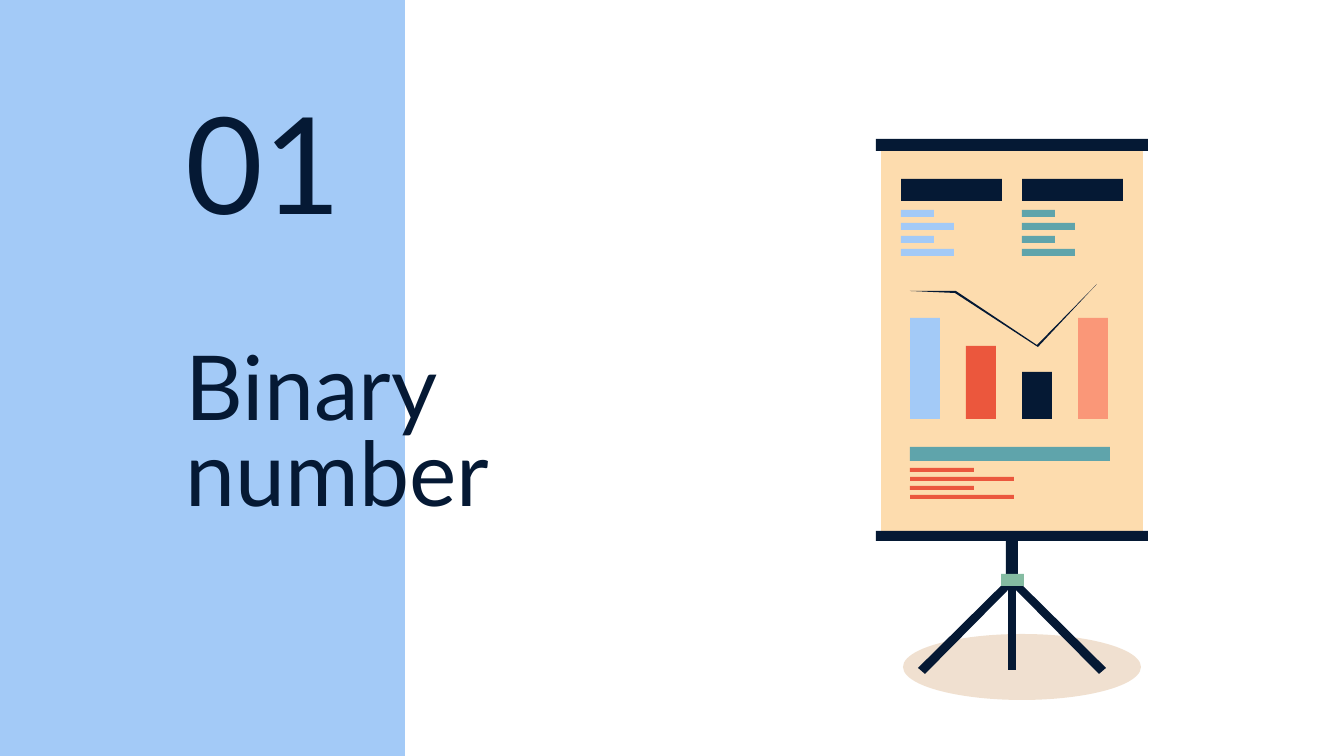
from dataclasses import dataclass

from lxml.etree import SubElement
from pptx import Presentation
from pptx.dml.color import RGBColor
from pptx.enum.shapes import MSO_SHAPE
from pptx.enum.text import MSO_ANCHOR, MSO_AUTO_SIZE, PP_ALIGN
from pptx.oxml.ns import qn
from pptx.util import Pt

PX = 9144000 / 1344  # EMU in one px


@dataclass(frozen=True)
class Theme:
    font: str = "Lato"
    number_size: int = 72
    title_size: int = 48
    navy: str = "051934"
    blue: str = "A3CAF7"
    teal: str = "5FA4AB"
    red: str = "EB573D"
    salmon: str = "FA9778"
    cream: str = "FDDCAE"
    green: str = "85BCA2"
    brown: str = "B45F06"


THEME = Theme()


@dataclass(frozen=True)
class Box:
    left: int
    top: int
    width: int
    height: int


@dataclass(frozen=True)
class TextBlock:
    """A column of short lines on the board, under a heading bar."""
    heading: Box
    heading_color: str
    line_color: str
    first_line: int
    line_step: int
    line_height: int
    line_widths: tuple[int, int]


def emu(length: int) -> int:
    return round(length * PX)


def paint(shape, color: str):
    shape.shadow.inherit = False
    shape.fill.solid()
    shape.fill.fore_color.rgb = RGBColor.from_string(color)
    shape.line.fill.background()
    return shape


def place(shape, box: Box) -> None:
    shape.left, shape.top = emu(box.left), emu(box.top)
    shape.width, shape.height = emu(box.width), emu(box.height)


def draw_shape(shapes, box: Box, color: str, kind=MSO_SHAPE.RECTANGLE):
    shape = shapes.add_shape(kind, emu(box.left), emu(box.top),
                             emu(box.width), emu(box.height))
    return paint(shape, color)


def draw_outline(shapes, points: list[tuple[int, int]], color: str):
    builder = shapes.build_freeform(*points[0], scale=PX)
    builder.add_line_segments(points[1:], close=True)
    return paint(builder.convert_to_shape(), color)


def draw_text_block(shapes, block: TextBlock) -> None:
    draw_shape(shapes, block.heading, block.heading_color)
    for row, width in enumerate(block.line_widths * 2):
        line = Box(block.heading.left, block.first_line + row * block.line_step,
                   width, block.line_height)
        draw_shape(shapes, line, block.line_color)


def write_text(holder, box: Box, text: str, size: int, anchor, spacing: float) -> None:
    place(holder, box)
    frame = holder.text_frame
    frame.text = text
    frame.word_wrap = True
    frame.auto_size = MSO_AUTO_SIZE.NONE
    frame.vertical_anchor = anchor
    frame.margin_left = frame.margin_right = emu(13)
    frame.margin_top = frame.margin_bottom = emu(13)
    para = frame.paragraphs[0]
    para.alignment = PP_ALIGN.LEFT
    para.line_spacing = spacing
    para.space_before = Pt(0)
    font = para.runs[0].font
    font.name, font.size = THEME.font, Pt(size)
    font.color.rgb = RGBColor.from_string(THEME.navy)


def draw_stand(shapes) -> None:
    center = 1012
    leg = [(1009, 578), (918, 668), (925, 674), (1015, 583)]
    draw_outline(shapes, leg, THEME.navy)
    draw_outline(shapes, [(2 * center - x, y) for x, y in leg], THEME.navy)
    draw_shape(shapes, Box(1008, 567, 8, 103), THEME.navy)
    draw_shape(shapes, Box(1006, 531, 12, 55), THEME.navy)
    draw_shape(shapes, Box(1001, 574, 23, 12), THEME.green)


def draw_board(shapes) -> None:
    draw_shape(shapes, Box(881, 151, 262, 380), THEME.cream)
    draw_shape(shapes, Box(876, 531, 272, 10), THEME.navy)
    draw_shape(shapes, Box(876, 139, 272, 12), THEME.navy)

    # Two columns of lines at the top, one wide block at the foot
    for left, color in ((901, THEME.blue), (1022, THEME.teal)):
        draw_text_block(shapes, TextBlock(Box(left, 179, 101, 22), THEME.navy,
                                          color, 210, 13, 7, (33, 53)))
    draw_text_block(shapes, TextBlock(Box(910, 447, 200, 14), THEME.teal,
                                      THEME.red, 468, 9, 4, (64, 104)))

    # Bars standing on one baseline
    baseline = 419
    bars = ((101, THEME.blue), (73, THEME.red), (47, THEME.navy), (101, THEME.salmon))
    for column, (height, color) in enumerate(bars):
        draw_shape(shapes, Box(910 + 56 * column, baseline - height, 30, height), color)

    # Trend line, tapering to both ends
    draw_outline(shapes, [(1097, 284), (1037, 345), (956, 291), (910, 291),
                          (955, 293), (1038, 347)], THEME.navy)


def main() -> None:
    deck = Presentation()
    deck.slide_width, deck.slide_height = emu(1344), emu(756)
    page = deck.slides.add_slide(deck.slide_layouts[0])
    title, number = page.placeholders

    # Side panel, behind the text
    panel = draw_shape(page.shapes, Box(-3, -3, 408, 759), THEME.blue)
    title.element.addprevious(panel.element)

    # Section title and number
    write_text(title, Box(173, 376, 570, 124), "Binary number",
               THEME.title_size, MSO_ANCHOR.MIDDLE, 0.8)
    write_text(number, Box(173, 138, 370, 116), "01",
               THEME.number_size, MSO_ANCHOR.BOTTOM, 1.0)

    # Floor shadow, mostly transparent
    floor = draw_shape(page.shapes, Box(903, 634, 238, 66), THEME.brown, MSO_SHAPE.OVAL)
    color = floor.element.spPr.find(qn("a:solidFill")).find(qn("a:srgbClr"))
    SubElement(color, qn("a:alpha")).set("val", "19000")

    # Flip chart
    flip_chart = page.shapes.add_group_shape()
    draw_stand(flip_chart.shapes)
    draw_board(flip_chart.shapes)

    deck.save("out.pptx")


if __name__ == "__main__":
    main()
